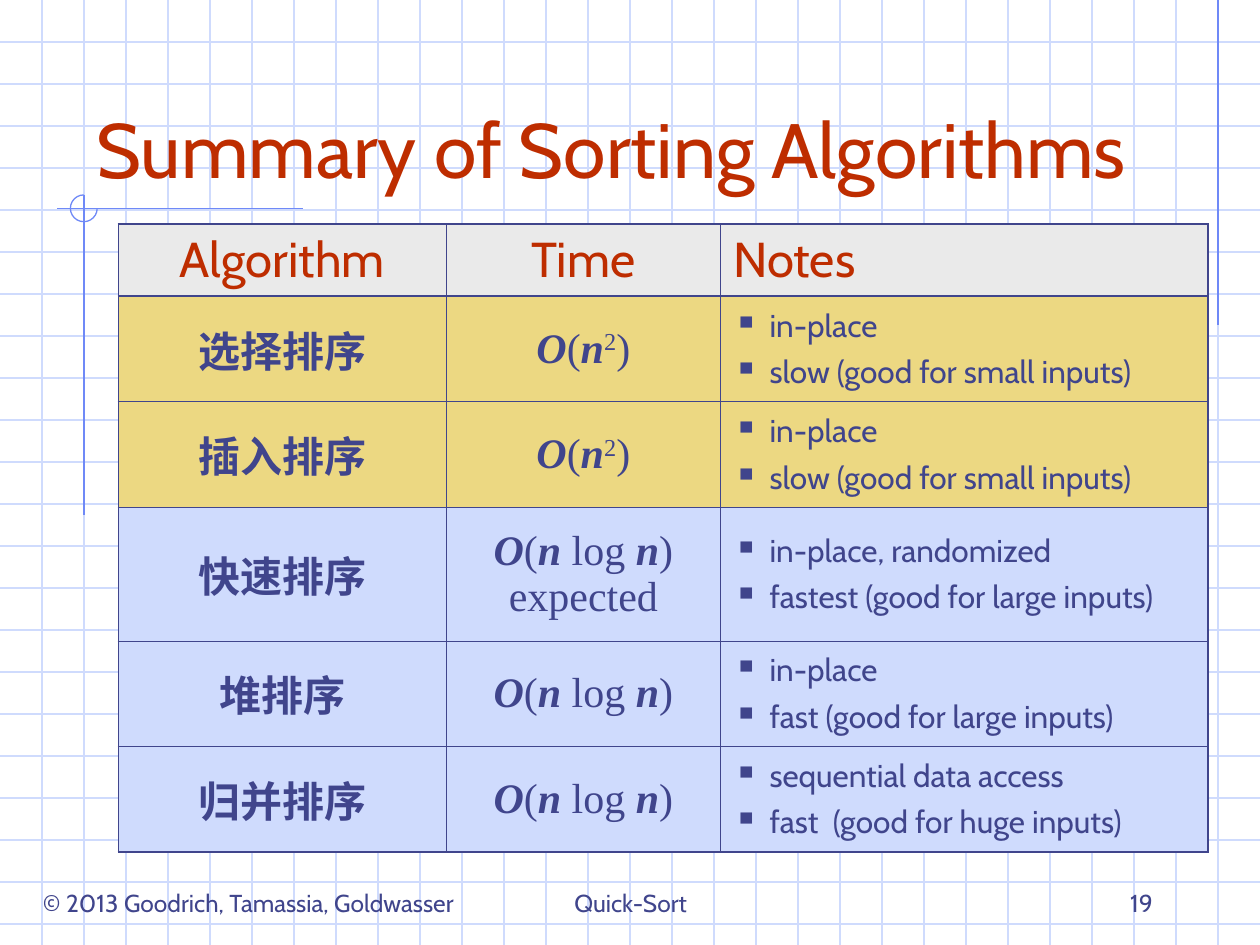
import lxml.etree
import pptx
import pptx.dml.color
import pptx.enum.shapes
import pptx.enum.text
import pptx.oxml.ns
import pptx.util

Cm = pptx.util.Cm
Pt = pptx.util.Pt
qn = pptx.oxml.ns.qn
ALIGN = pptx.enum.text.PP_ALIGN
ANCHOR = pptx.enum.text.MSO_ANCHOR
SHAPE = pptx.enum.shapes.MSO_SHAPE
LINE = pptx.enum.shapes.MSO_CONNECTOR

WIDTH, HEIGHT, STEP = 25.4, 19.05, 25.4 / 30
COLOR = {
    "grid": "CFDBFD", "accent": "6F89F7", "ink": "40458C", "title": "BE2D00",
    "head": "EAEAEA", "slow": "ECD882", "fast": "CFDBFD",
}
FORMAT = {
    "title": {"name": "Cabin", "size": Pt(44), "color": "title"},
    "foot": {"name": "Cabin", "size": Pt(14), "color": "ink"},
    "head": {"name": "Cabin", "size": Pt(28), "color": "title"},
    "name": {"name": "Noto Sans CJK SC", "size": Pt(24), "bold": True, "color": "ink"},
    "note": {"name": "Cabin", "size": Pt(18), "color": "ink"},
    "plain": {"name": "Times New Roman", "size": Pt(24), "color": "ink"},
}
FORMAT["var"] = {**FORMAT["plain"], "bold": True, "italic": True}
FORMAT["power"] = FORMAT["plain"]

START = [("O", "var"), ("(", "plain"), ("n", "var")]
SQUARE = START + [("2", "power"), (")", "plain")]
LOG = START + [(" log ", "plain"), ("n", "var"), (")", "plain")]
MEAN = LOG + [("\v", "plain"), ("expected", "plain")]
HEADS = ["Algorithm", "Time", "Notes"]
ROWS = [
    ("选择排序", SQUARE, ["in-place", "slow (good for small inputs)"], "slow"),
    ("插入排序", SQUARE, ["in-place", "slow (good for small inputs)"], "slow"),
    ("快速排序", MEAN, ["in-place, randomized", "fastest (good for large inputs)"], "fast"),
    ("堆排序", LOG, ["in-place", "fast (good for large inputs)"], "fast"),
    ("归并排序", LOG, ["sequential data access", "fast  (good for huge inputs)"], "fast"),
]
COLS = [6.6, 5.54, 9.82]
TALL = [1.45, 2.13, 2.13, 2.69, 2.13, 2.13]


def rgb(key):
    """Return the named colour."""
    return pptx.dml.color.RGBColor.from_string(COLOR[key])


def write(para, runs, align=ALIGN.LEFT):
    """Fill a paragraph with (text, format) runs."""
    para.alignment = align
    for text, kind in runs:
        if text == "\v":
            para.add_line_break()
            continue
        run = para.add_run()
        run.text = text
        for key, value in FORMAT[kind].items():
            if key == "color":
                run.font.color.rgb = rgb(value)
            else:
                setattr(run.font, key, value)
        props = run.font._element
        if kind == "name":
            face = lxml.etree.SubElement(props, qn("a:ea"))
            face.set("typeface", FORMAT[kind]["name"])
        if kind == "power":
            props.set("baseline", "30000")


def label(slide, text, kind, box, align, anchor, wrap=True):
    """Add a text box with one line of text."""
    frame = slide.shapes.add_textbox(*map(Cm, box)).text_frame
    frame.word_wrap = wrap
    frame.vertical_anchor = anchor
    write(frame.paragraphs[0], [(text, kind)], align)


def rule(slide, ends, color):
    """Draw a straight thin line."""
    line = slide.shapes.add_connector(LINE.STRAIGHT, *map(Cm, ends))
    line.line.color.rgb = rgb(color)
    line.line.width = Pt(0.75)
    lxml.etree.SubElement(line._element.spPr, qn("a:effectLst"))


def back(slide):
    """Draw the squared paper and the accent lines."""
    for i in range(1, 23):
        rule(slide, (0, i * STEP, WIDTH, i * STEP), "grid")
    for i in range(1, 30):
        rule(slide, (i * STEP, 0, i * STEP, HEIGHT), "grid")
    rule(slide, (29 * STEP, 0, 29 * STEP, 6.55), "accent")
    rule(slide, (6.1, 4.21, 1.14, 4.21), "accent")
    rule(slide, (2 * STEP, 3.93, 2 * STEP, 10.39), "accent")
    arc = slide.shapes.add_shape(SHAPE.ARC, Cm(1.42), Cm(3.93), Cm(0.54), Cm(0.54))
    arc.adjustments[0] = 0
    arc.adjustments[1] = 162
    arc.shadow.inherit = False
    arc.fill.background()
    arc.line.color.rgb = rgb("accent")
    arc.line.width = Pt(0.75)


def edge(cell, row, col):
    """Set cell borders, heavier round the table and under its head."""
    heavy = {
        "L": col == 0, "R": col == len(COLS) - 1,
        "T": row <= 1, "B": row in (0, len(TALL) - 1),
    }
    props = cell._tc.get_or_add_tcPr()
    for side, thick in heavy.items():
        line = lxml.etree.SubElement(props, qn("a:ln" + side))
        line.set("w", str(Pt(1.08 if thick else 0.45)))
        fill = lxml.etree.SubElement(line, qn("a:solidFill"))
        lxml.etree.SubElement(fill, qn("a:srgbClr")).set("val", COLOR["ink"])


def bullet(para):
    """Give a paragraph a square bullet."""
    props = para._p.get_or_add_pPr()
    props.set("marL", str(Cm(0.73)))
    props.set("indent", str(Cm(-0.73)))
    tint = lxml.etree.SubElement(props, qn("a:buClr"))
    lxml.etree.SubElement(tint, qn("a:srgbClr")).set("val", COLOR["ink"])
    lxml.etree.SubElement(props, qn("a:buSzPct")).set("val", "110000")
    lxml.etree.SubElement(props, qn("a:buChar")).set("char", "▪")


def notes(frame, items):
    """Write a bulleted list."""
    for i, item in enumerate(items):
        para = frame.add_paragraph() if i else frame.paragraphs[0]
        bullet(para)
        if i:
            para.space_before = Pt(4.5)
        write(para, [(item, "note")])


def grid(slide):
    """Add the table of algorithms."""
    box = map(Cm, (2.39, 4.52, sum(COLS), sum(TALL)))
    table = slide.shapes.add_table(len(TALL), len(COLS), *box).table
    table.first_row = table.horz_banding = False
    for col, wide in zip(table.columns, COLS):
        col.width = Cm(wide)
    for row, tall in zip(table.rows, TALL):
        row.height = Cm(tall)
    fills = ["head"] + [row[-1] for row in ROWS]
    for r, fill in enumerate(fills):
        for c in range(len(COLS)):
            cell = table.cell(r, c)
            edge(cell, r, c)
            cell.fill.solid()
            cell.fill.fore_color.rgb = rgb(fill)
            cell.vertical_anchor = ANCHOR.MIDDLE
            para = cell.text_frame.paragraphs[0]
            align = ALIGN.LEFT if c == 2 else ALIGN.CENTER
            if r == 0:
                write(para, [(HEADS[c], "head")], align)
            elif c == 0:
                write(para, [(ROWS[r - 1][0], "name")], align)
            elif c == 1:
                write(para, ROWS[r - 1][1], align)
            else:
                notes(cell.text_frame, ROWS[r - 1][2])


def main():
    """Build the slide and save it."""
    deck = pptx.Presentation()
    deck.slide_width, deck.slide_height = Cm(WIDTH), Cm(HEIGHT)
    slide = deck.slides.add_slide(deck.slide_layouts[6])
    back(slide)
    label(slide, "© 2013 Goodrich, Tamassia, Goldwasser", "foot",
          (0.08, 17.78, 9.86, 0.86), ALIGN.CENTER, ANCHOR.TOP, False)
    label(slide, "Quick-Sort", "foot", (8.69, 17.35, 8.05, 1.27), ALIGN.CENTER, ANCHOR.BOTTOM)
    label(slide, "19", "foot", (18.21, 17.35, 5.28, 1.27), ALIGN.RIGHT, ANCHOR.BOTTOM)
    label(slide, "Summary of Sorting Algorithms", "title",
          (1.69, 0.85, 22.43, 3.18), ALIGN.LEFT, ANCHOR.BOTTOM)
    grid(slide)
    deck.save("out.pptx")


if __name__ == "__main__":
    main()
